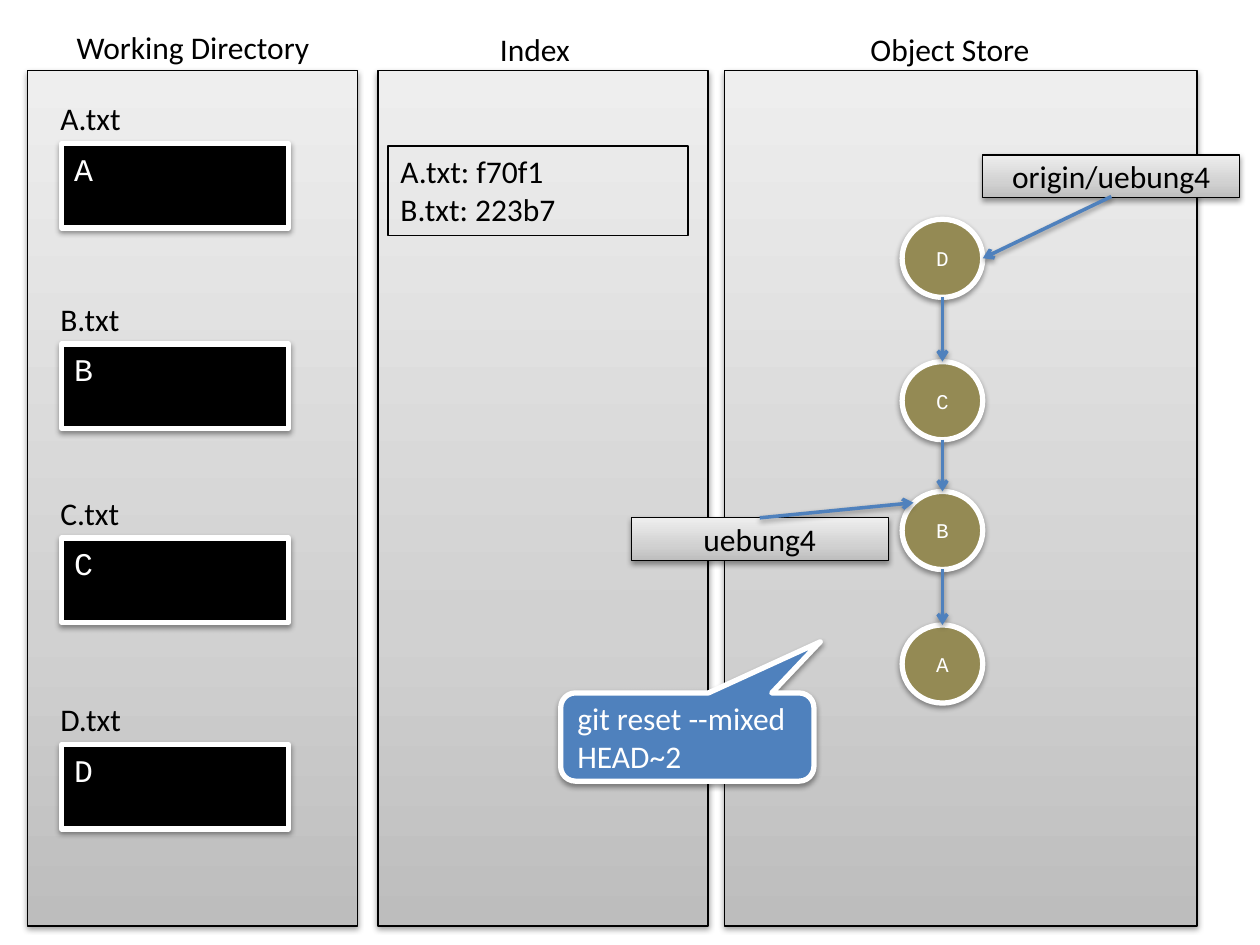
from copy import deepcopy
from dataclasses import dataclass

from lxml import etree
from pptx import Presentation
from pptx.dml.color import RGBColor
from pptx.enum.shapes import MSO_CONNECTOR as Connector, MSO_SHAPE as Shape
from pptx.enum.text import MSO_ANCHOR as Anchor, MSO_AUTO_SIZE as AutoSize, PP_ALIGN as Align
from pptx.oxml.ns import qn
from pptx.util import Inches, Pt


@dataclass(frozen=True)
class Theme:
    """Colours, fonts and sizes used across the slide."""
    black: str = "000000"
    white: str = "FFFFFF"
    blue: str = "4F81BD"
    olive: str = "948A54"
    grey: tuple = ((0, "BDBDBD"), (0.35, "D1D1D1"), (1, "EEEEEE"))
    body_font: str = "Calibri"
    code_font: str = "Courier New"
    body_size: int = 18
    commit_size: int = 12
    thin: float = 0.75
    thick: float = 3
    arrow: float = 2


THEME = Theme()
COMMIT_LEFT, COMMIT_WIDTH, COMMIT_HEIGHT = 7.16, 0.64, 0.62
COMMIT_CENTER = COMMIT_LEFT + COMMIT_WIDTH / 2


def rgb(value):
    """Turn a hex string into a colour."""
    return RGBColor.from_string(value)


def add_shadow(properties):
    """Put a soft shadow below an element."""
    effects = properties.find(qn("a:effectLst"))
    if effects is None:
        effects = etree.SubElement(properties, qn("a:effectLst"))
    shadow = etree.SubElement(effects, qn("a:outerShdw"), blurRad="40000", dist="20000",
                              dir="5400000", rotWithShape="0")
    color = etree.SubElement(shadow, qn("a:srgbClr"), val=THEME.black)
    etree.SubElement(color, qn("a:alpha"), val="38000")


def fill_gradient(shape):
    """Fill a shape with the grey gradient, darkest at the bottom."""
    shape.fill.gradient()
    shape.fill.gradient_angle = 90
    stops = shape.fill._xPr.find(".//" + qn("a:gsLst"))
    stops.append(deepcopy(stops[-1]))
    for stop, (position, color) in zip(shape.fill.gradient_stops, THEME.grey):
        stop.position = position
        stop.color.rgb = rgb(color)


def add_box(shapes, kind, bounds, fill, line, width, shadow=True):
    """Add a preset shape; fill is a colour, the grey gradient or None."""
    shape = shapes.add_shape(kind, *map(Inches, bounds))
    shape.shadow.inherit = False
    if fill is None:
        shape.fill.background()
    elif fill == THEME.grey:
        fill_gradient(shape)
    else:
        shape.fill.solid()
        shape.fill.fore_color.rgb = rgb(fill)
    shape.line.color.rgb = rgb(line)
    shape.line.width = Pt(width)
    if shadow:
        add_shadow(shape._element.spPr)
    return shape


def write(shape, lines, color=THEME.black, font=THEME.body_font, size=THEME.body_size,
          align=Align.LEFT, anchor=Anchor.TOP, wrap=True):
    """Write one paragraph per line into a shape."""
    frame = shape.text_frame
    frame.word_wrap = wrap
    frame.vertical_anchor = anchor
    for index, line in enumerate(lines):
        paragraph = frame.add_paragraph() if index else frame.paragraphs[0]
        paragraph.alignment = align
        run = paragraph.add_run()
        run.text = line
        run.font.name = font
        run.font.size = Pt(size)
        run.font.color.rgb = rgb(color)


def add_label(shapes, text, left, top, width, height=0.4):
    """Add an unwrapped caption."""
    label = shapes.add_textbox(*map(Inches, (left, top, width, height)))
    write(label, [text], wrap=False)
    label.text_frame.auto_size = AutoSize.SHAPE_TO_FIT_TEXT


def add_arrow(shapes, *points):
    """Add an arrow from the first point to the second."""
    arrow = shapes.add_connector(Connector.STRAIGHT, *map(Inches, points))
    arrow.line.color.rgb = rgb(THEME.blue)
    arrow.line.width = Pt(THEME.arrow)
    etree.SubElement(arrow.line._get_or_add_ln(), qn("a:tailEnd"), type="arrow")
    add_shadow(arrow._element.spPr)


def add_commit(shapes, name, top):
    """Add a commit circle."""
    bounds = (COMMIT_LEFT, top, COMMIT_WIDTH, COMMIT_HEIGHT)
    commit = add_box(shapes, Shape.OVAL, bounds, THEME.olive, THEME.white, THEME.thick)
    write(commit, [name], THEME.white, THEME.code_font, THEME.commit_size,
          Align.CENTER, Anchor.MIDDLE)


def add_branch(shapes, name, left, top):
    """Add a branch name plate."""
    branch = add_box(shapes, Shape.RECTANGLE, (left, top, 2.04, 0.34),
                     THEME.grey, THEME.black, THEME.thin)
    write(branch, [name], align=Align.CENTER, anchor=Anchor.MIDDLE)


def add_file(shapes, name, top):
    """Add a grouped file name and content box."""
    group = shapes.add_group_shape().shapes
    content = add_box(group, Shape.RECTANGLE, (0.49, top, 1.8, 0.67),
                      THEME.black, THEME.white, THEME.thick)
    write(content, [name], THEME.white, THEME.code_font)
    add_label(group, f"{name}.txt", 0.38, top - 0.4, 0.69)


def add_index(shapes):
    """Add the list of index entries."""
    index = add_box(shapes, Shape.RECTANGLE, (3.08, 1.16, 2.38, 0.71),
                    None, THEME.black, THEME.thin, shadow=False)
    write(index, ["A.txt: f70f1", "B.txt: 223b7"])
    index.text_frame.auto_size = AutoSize.SHAPE_TO_FIT_TEXT


def add_command(shapes):
    """Add the speech bubble with the command."""
    bubble = add_box(shapes, Shape.ROUNDED_RECTANGULAR_CALLOUT, (4.45, 5.5, 2.01, 0.7),
                     THEME.blue, THEME.white, THEME.thick)
    for index, value in enumerate((0.525, -1.08, 0.167)):
        bubble.adjustments[index] = value
    write(bubble, ["git reset --mixed HEAD~2"], THEME.white, anchor=Anchor.MIDDLE)


def main():
    """Build the slide and save it."""
    presentation = Presentation()
    presentation.slide_width, presentation.slide_height = Inches(10), Inches(7.5)
    shapes = presentation.slides.add_slide(presentation.slide_layouts[6]).shapes

    for left, width in ((0.22, 2.62), (3, 2.62), (5.75, 3.75)):
        add_box(shapes, Shape.RECTANGLE, (left, 0.56, width, 6.79),
                THEME.grey, THEME.black, THEME.thin)
    add_label(shapes, "Working Directory", 0.51, 0.17, 2.08, 0.71)
    add_label(shapes, "Index", 3.87, 0.19, 0.77)
    add_label(shapes, "Object Store", 6.81, 0.19, 1.48)

    commits = {"A": 4.96, "B": 3.9, "C": 2.87, "D": 1.74}
    for name, top in commits.items():
        add_commit(shapes, name, top)
    tops = sorted(commits.values())
    for upper, lower in zip(tops, tops[1:]):
        add_arrow(shapes, COMMIT_CENTER, upper + COMMIT_HEIGHT, COMMIT_CENTER, lower)

    add_branch(shapes, "uebung4", 5.01, 4.11)
    add_branch(shapes, "origin/uebung4", 7.8, 1.23)
    add_arrow(shapes, 6.03, 4.11, 7.25, 3.99)
    add_arrow(shapes, 8.82, 1.56, 7.8, 2.05)

    add_index(shapes)
    for name, top in (("A", 1.14), ("B", 2.73), ("C", 4.27), ("D", 5.91)):
        add_file(shapes, name, top)
    add_command(shapes)
    presentation.save("out.pptx")


if __name__ == "__main__":
    main()
